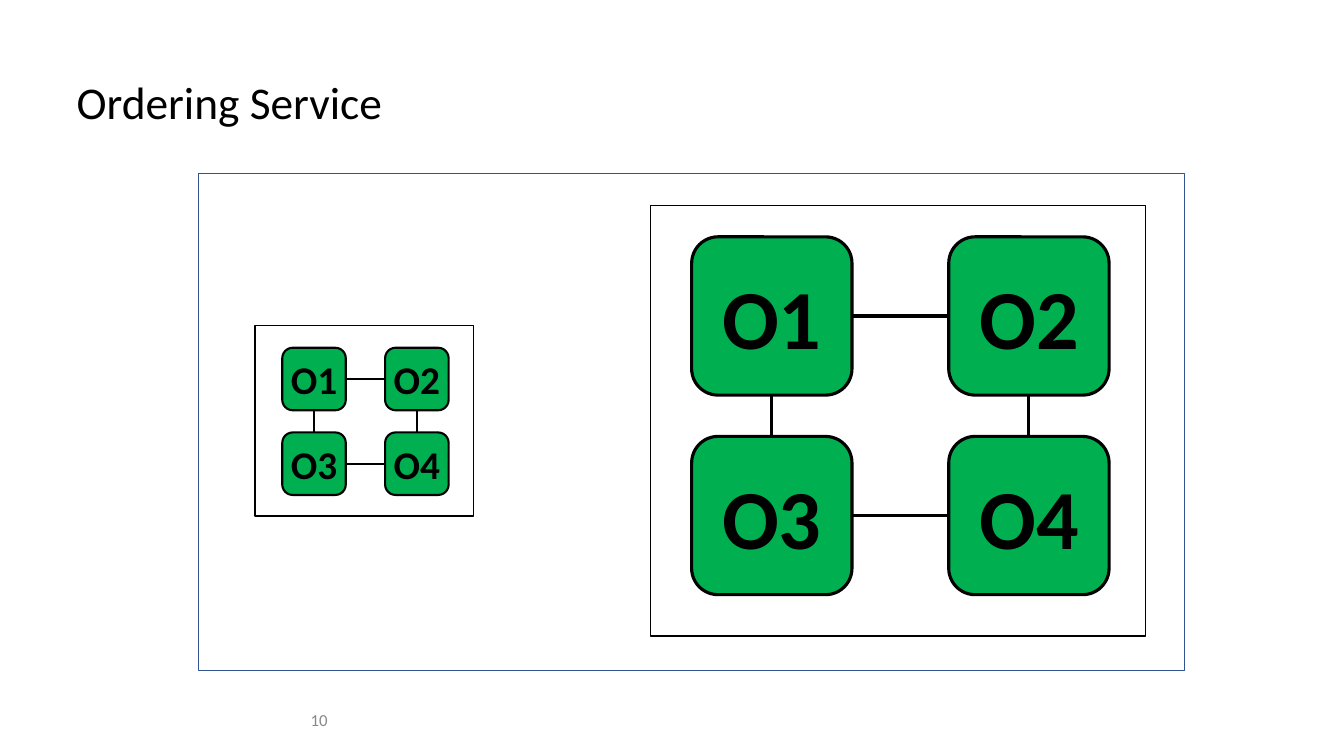
"""Build the Ordering Service slide: one cluster of orderers at two scales."""
from dataclasses import dataclass

from lxml import etree
from pptx import Presentation
from pptx.dml.color import RGBColor
from pptx.enum.shapes import MSO_CONNECTOR, MSO_SHAPE
from pptx.enum.text import MSO_ANCHOR, MSO_AUTO_SIZE, PP_ALIGN
from pptx.oxml.ns import qn
from pptx.util import Inches, Pt

RECT, ROUNDED = MSO_SHAPE.RECTANGLE, MSO_SHAPE.ROUNDED_RECTANGLE
STRAIGHT = MSO_CONNECTOR.STRAIGHT
TOP, MIDDLE = MSO_ANCHOR.TOP, MSO_ANCHOR.MIDDLE
LEFT, CENTER, RIGHT = PP_ALIGN.LEFT, PP_ALIGN.CENTER, PP_ALIGN.RIGHT
FIXED = MSO_AUTO_SIZE.NONE
SIDE_TOP, SIDE_LEFT, SIDE_BOTTOM, SIDE_RIGHT = range(4)
TITLE_ONLY = 5
CELL = Inches(0.1)


@dataclass(frozen=True)
class Theme:
    """Colours, font and type sizes of the slide."""
    font: str = "Calibri"
    ink: RGBColor = RGBColor(0x00, 0x00, 0x00)
    node: RGBColor = RGBColor(0x00, 0xB0, 0x50)
    border: RGBColor = RGBColor(0x32, 0x53, 0x8F)
    muted: RGBColor = RGBColor(0x88, 0x88, 0x88)
    title: float = 32.4
    large: int = 60
    small: int = 28
    number: int = 12


THEME = Theme()


def grid(*cells):
    """Turn grid columns and rows into slide lengths."""
    return [round(c * CELL) for c in cells]


def write(shape, text, size, color, align, anchor=MIDDLE, inset=0.5, bold=False, wrap=True):
    """Put one formatted paragraph into a shape."""
    tf = shape.text_frame
    tf.text = text
    tf.auto_size = FIXED
    tf.word_wrap = wrap
    tf.vertical_anchor = anchor
    tf.margin_left = tf.margin_top = tf.margin_right = tf.margin_bottom = round(inset * CELL)
    p = tf.paragraphs[0]
    p.alignment = align
    p.font.name, p.font.size, p.font.bold = THEME.font, Pt(size), bold
    p.font.color.rgb = color
    return p


def add_title(s, text, box):
    """Place and format the title placeholder."""
    title = s.shapes.title
    title.left, title.top, title.width, title.height = grid(*box)
    p = write(title, text, THEME.title, THEME.ink, LEFT, TOP, inset=0)
    p.line_spacing = 0.9


def add_box(s, kind, box, color, weight, fill=None):
    """Draw an outlined shape, filled when a colour is given."""
    sp = s.shapes.add_shape(kind, *grid(*box))
    sp.shadow.inherit = False
    sp.line.color.rgb, sp.line.width = color, Pt(weight)
    if fill is None:
        sp.fill.background()
    else:
        sp.fill.solid()
        sp.fill.fore_color.rgb = fill
    return sp


def add_link(s, start, start_side, end, end_side, weight):
    """Join the sides of two nodes with a line."""
    line = s.shapes.add_connector(STRAIGHT, 0, 0, 0, 0)
    line.begin_connect(start, start_side)
    line.end_connect(end, end_side)
    line.line.color.rgb, line.line.width = THEME.ink, Pt(weight)
    etree.SubElement(line._element.spPr, qn("a:effectLst"))


def add_cluster(s, frame, origin, node, pitch, size, weight):
    """Draw a framed two-by-two ring of linked orderers."""
    add_box(s, RECT, frame, THEME.ink, 1)
    nodes = []
    for i in range(4):
        row, col = divmod(i, 2)
        box = (origin[0] + col * pitch[0], origin[1] + row * pitch[1], *node)
        sp = add_box(s, ROUNDED, box, THEME.ink, weight, THEME.node)
        write(sp, f"O{i + 1}", size, THEME.ink, CENTER, bold=True)
        nodes.append(sp)
    for i in range(2):
        add_link(s, nodes[2 * i], SIDE_RIGHT, nodes[2 * i + 1], SIDE_LEFT, weight)
        add_link(s, nodes[i], SIDE_BOTTOM, nodes[i + 2], SIDE_TOP, weight)


def add_page_number(s, text, box):
    """Write the page number."""
    tb = s.shapes.add_textbox(*grid(*box))
    write(tb, text, THEME.number, THEME.muted, RIGHT, wrap=False)


def main():
    """Build and save the slide."""
    prs = Presentation()
    prs.slide_width, prs.slide_height = Inches(13.33), Inches(7.5)
    s = prs.slides.add_slide(prs.slide_layouts[TITLE_ONLY])
    add_title(s, "Ordering Service", (7.6, 8, 118.1, 5.4))
    add_box(s, RECT, (19.7, 17.2, 97.8, 49.3), THEME.border, 1)
    add_cluster(s, frame=(25.3, 32.3, 21.7, 18.9), origin=(28, 34.5), node=(6.3, 6.2),
                pitch=(10.2, 8.4), size=THEME.small, weight=1.5)
    add_cluster(s, frame=(64.5, 20.4, 49.1, 42.7), origin=(68.6, 23.5), node=(15.9, 15.7),
                pitch=(25.5, 19.8), size=THEME.large, weight=2.25)
    add_page_number(s, "10", (31, 70, 2, 2.9))
    prs.save("out.pptx")


if __name__ == "__main__":
    main()
